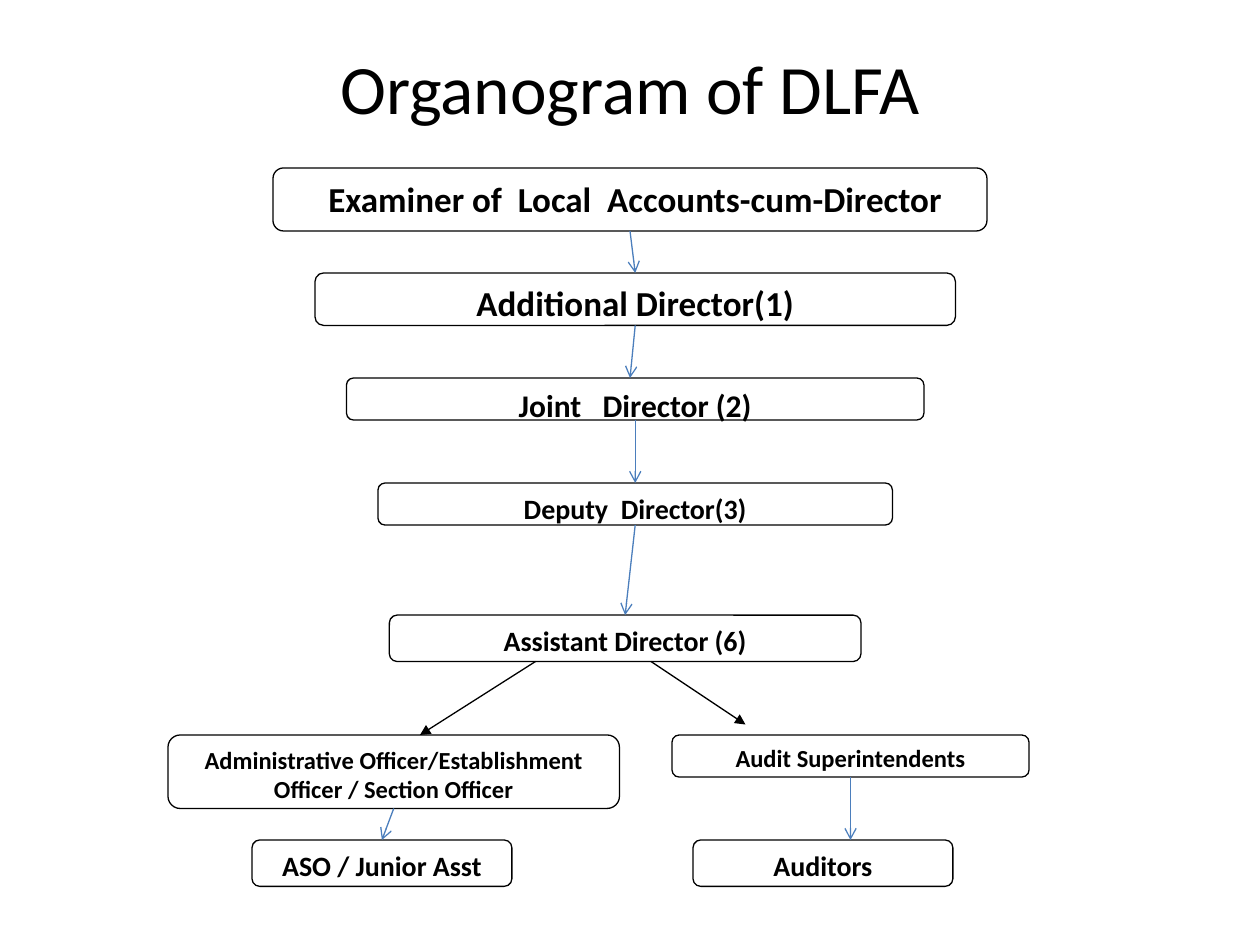
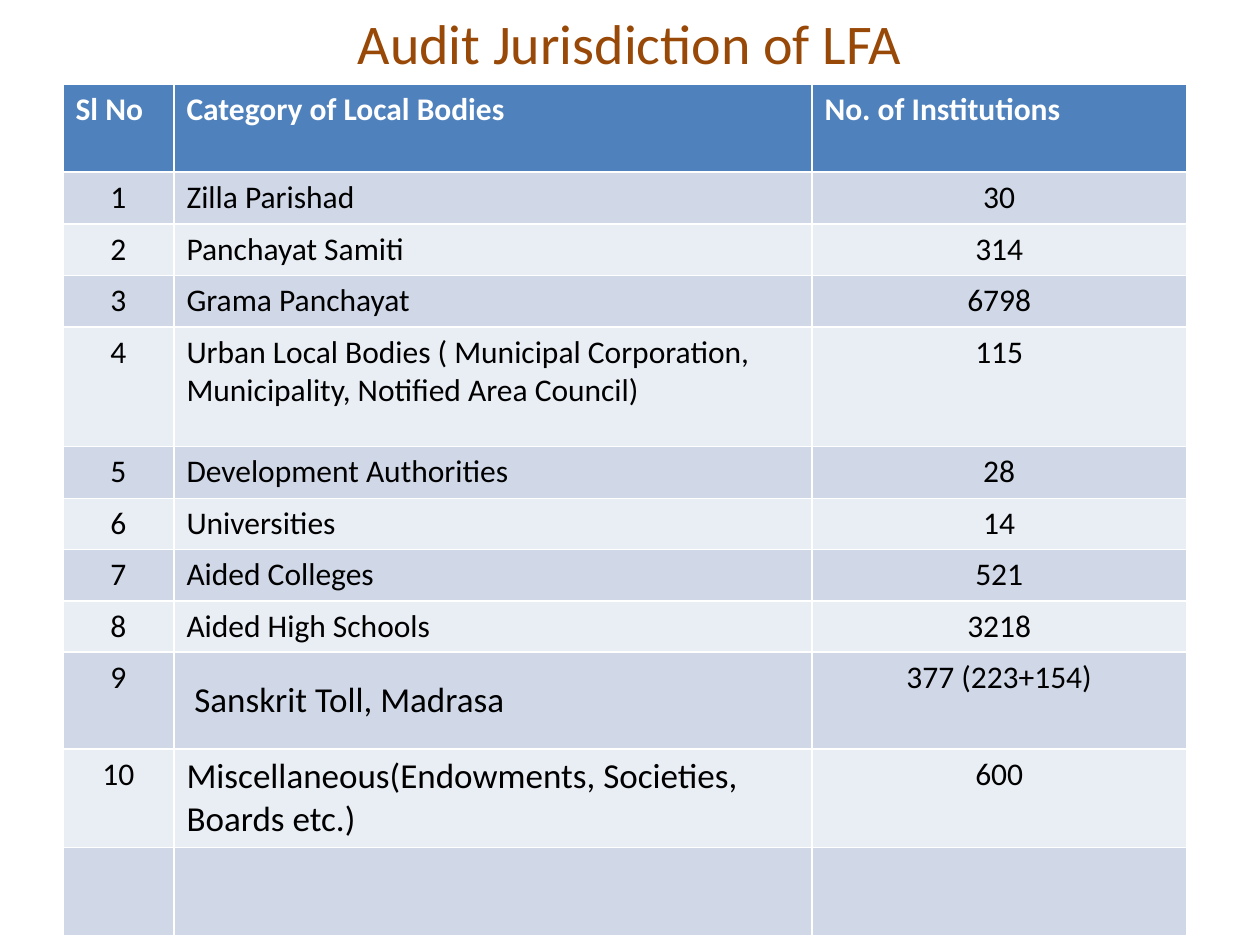
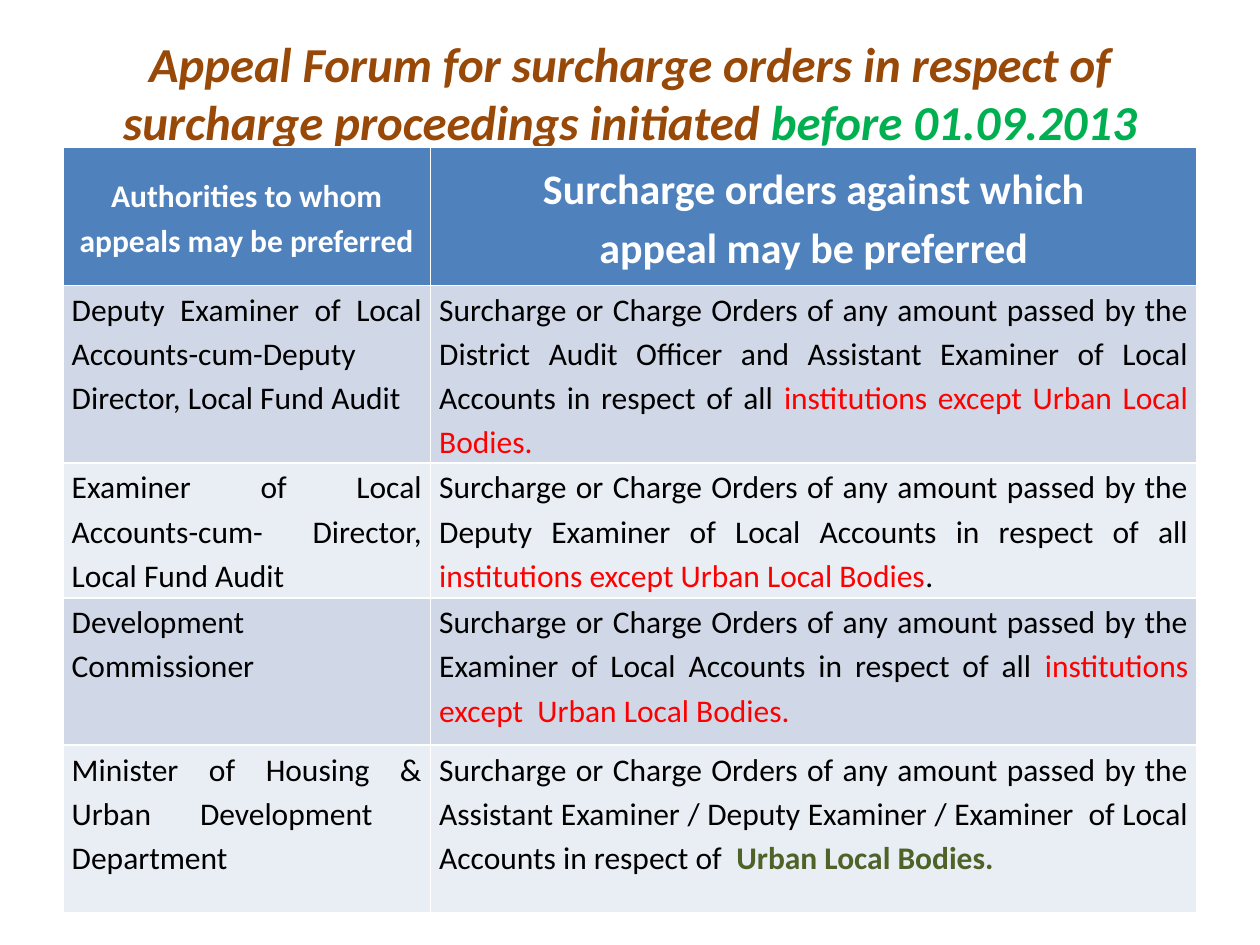
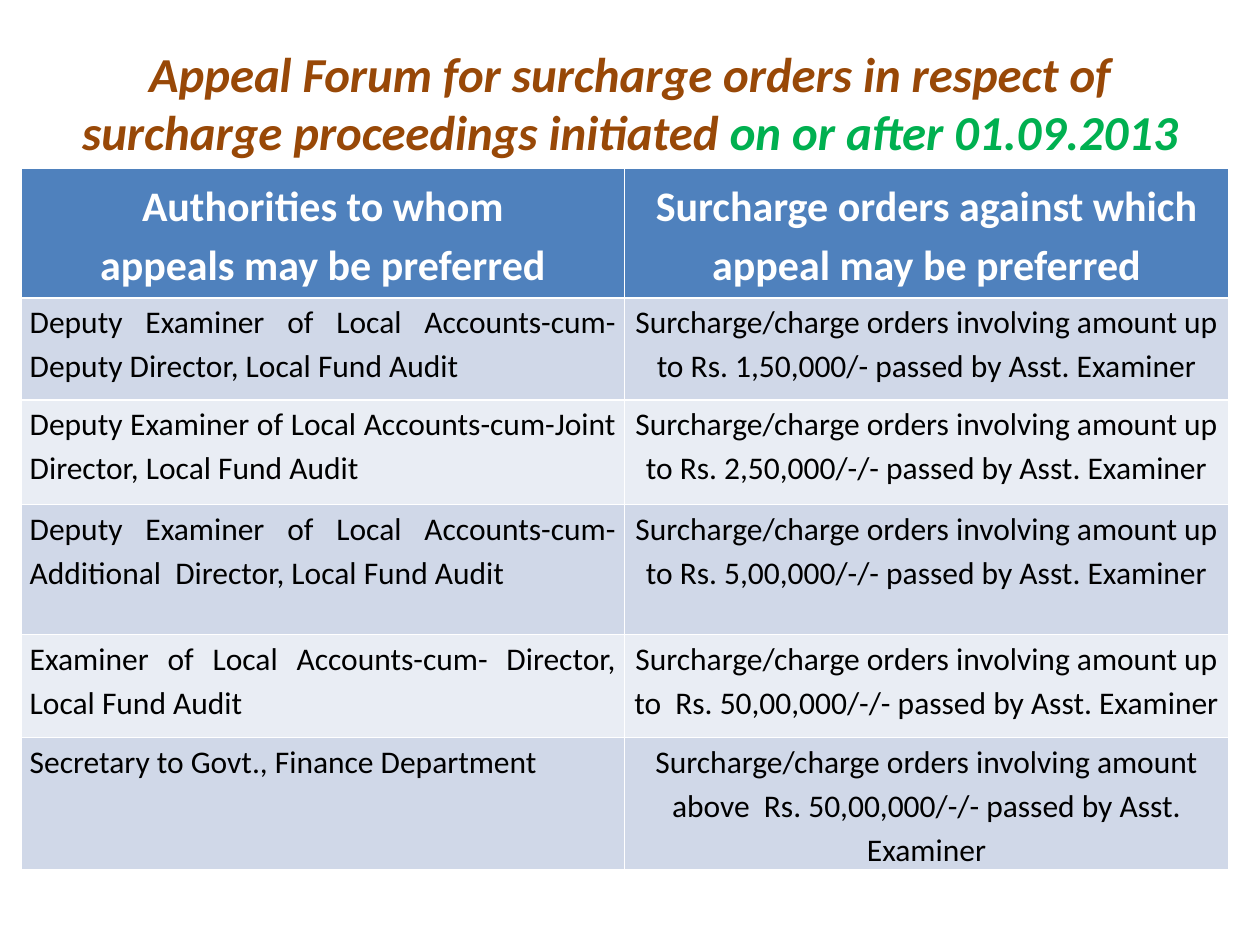
import pptx
import pptx.dml.color
import pptx.enum.shapes
import pptx.enum.text
import pptx.oxml
import pptx.oxml.ns
import pptx.util

Pt = pptx.util.Pt
RGBColor = pptx.dml.color.RGBColor
Align = pptx.enum.text.PP_ALIGN
Anchor = pptx.enum.text.MSO_ANCHOR

FONT = "Calibri"
BLACK = RGBColor(0x00, 0x00, 0x00)
WHITE = RGBColor(0xFF, 0xFF, 0xFF)
BROWN = RGBColor(0x98, 0x48, 0x07)
GREEN = RGBColor(0x00, 0xB0, 0x50)
OLIVE = RGBColor(0x4F, 0x62, 0x28)
RED = RGBColor(0xFF, 0x00, 0x00)
ARROW_BLUE = RGBColor(0x4B, 0x7E, 0xBC)
HEADER_BLUE = RGBColor(0x4F, 0x81, 0xBD)
BANDS = (RGBColor(0xE9, 0xED, 0xF4), RGBColor(0xD0, 0xD8, 0xE8))

POSTS = {
    "examiner": ("Examiner of  Local  Accounts-cum-Director", 20, (60, 0, 408, 36)),
    "additional": ("Additional Director(1)", 20, (84, 60, 366, 30)),
    "joint": ("Joint   Director (2)", 18, (102, 120, 330, 24)),
    "deputy": ("Deputy  Director(3)", 16, (120, 180, 294, 24)),
    "assistant": ("Assistant Director (6)", 16, (126.5, 255.5, 269.5, 26.5)),
    "administrative": (
        "Administrative Officer/Establishment Officer / Section Officer",
        14, (0, 324, 258, 42)),
    "superintendents": ("Audit Superintendents", 14, (288, 324, 204, 24)),
    "junior": ("ASO / Junior Asst", 16, (48, 384, 148.5, 26.5)),
    "auditors": ("Auditors", 16, (300, 384, 148.5, 26.5)),
}
REPORTING = [
    ("examiner", "additional", 0),
    ("additional", "joint", -3),
    ("joint", "deputy", 0),
    ("deputy", "assistant", 0),
    ("administrative", "junior", 0),
    ("superintendents", "auditors", 15.75),
]
BRANCHES = [((210, 282), (144, 324)), ((276, 282), (330, 318))]

LOCAL_BODIES = [
    ("Zilla Parishad", "30"),
    ("Panchayat Samiti", "314"),
    ("Grama Panchayat", "6798"),
    ("Urban Local Bodies ( Municipal Corporation, Municipality, "
     "Notified Area Council)", "115"),
    ("Development Authorities", "28"),
    ("Universities", "14"),
    ("Aided Colleges", "521"),
    ("Aided High Schools", "3218"),
    ("Sanskrit Toll, Madrasa", "377 (223+154)"),
    ("Miscellaneous(Endowments, Societies, Boards etc.)", "600"),
    ("", ""),
]

ANY_AMOUNT = "Surcharge or Charge Orders of any amount passed by the "
EXCEPT_URBAN = "institutions except Urban Local Bodies"
DEPUTY = "Deputy Examiner of Local Accounts-cum-"
DIRECTOR = "Examiner of Local Accounts-cum- Director, Local Fund Audit"
ORDERS_HEADER = ["Surcharge orders against which", "appeal may be preferred"]

APPEALS_BEFORE = [
    (DEPUTY + "Deputy Director, Local Fund Audit",
     [(ANY_AMOUNT + "District Audit Officer and Assistant Examiner of Local "
       "Accounts in respect of all ", BLACK), (EXCEPT_URBAN + ".", RED)]),
    (DIRECTOR,
     [(ANY_AMOUNT + "Deputy Examiner of Local Accounts in respect of all ", BLACK),
      (EXCEPT_URBAN, RED), (".", BLACK)]),
    ("Development Commissioner",
     [(ANY_AMOUNT + "Examiner of Local Accounts in respect of all ", BLACK),
      ("institutions except  Urban Local Bodies.", RED)]),
    ("Minister of Housing & Urban Development  Department",
     [(ANY_AMOUNT + "Assistant Examiner / Deputy Examiner / Examiner  of Local "
       "Accounts in respect of  ", BLACK), ("Urban Local Bodies.", OLIVE)]),
]
APPEALS_AFTER = [
    (DEPUTY + "Deputy Director, Local Fund Audit", "up to Rs. 1,50,000/-"),
    (DEPUTY + "Joint Director, Local Fund Audit", "up to Rs. 2,50,000/-/-"),
    (DEPUTY + "Additional  Director, Local Fund Audit", "up to Rs. 5,00,000/-/-"),
    (DIRECTOR, "up to  Rs. 50,00,000/-/-"),
    ("Secretary to Govt., Finance Department", "above  Rs. 50,00,000/-/-"),
]


def style_paragraph(para, size, align, color=None, bold=False, italic=False):
    """Set the alignment and the font shared by all runs of a paragraph."""
    para.alignment = align
    para.font.name = FONT
    para.font.size = Pt(size)
    para.font.bold = bold
    para.font.italic = italic
    if color is not None:
        para.font.color.rgb = color


def add_spans(para, spans):
    """Add text and colour pairs to a paragraph as runs."""
    for text, color in spans:
        span = para.add_run()
        span.text = text
        span.font.color.rgb = color
        if color == OLIVE:
            span.font.bold = True


def add_page(deck, box, spans, size, emphasis=False, bottom_inset=None):
    """Add a title-only page and write its title in the given box."""
    page = deck.slides.add_slide(deck.slide_layouts[5])
    title = page.shapes.title
    title.left, title.top, title.width, title.height = map(Pt, box)
    frame = title.text_frame
    frame.word_wrap = True
    frame.auto_size = pptx.enum.text.MSO_AUTO_SIZE.NONE
    frame.vertical_anchor = Anchor.MIDDLE
    if bottom_inset is not None:
        frame.vertical_anchor = Anchor.BOTTOM
        frame.margin_top = 0
        frame.margin_bottom = Pt(bottom_inset)
    para = frame.paragraphs[0]
    style_paragraph(para, size, Align.CENTER, bold=emphasis, italic=emphasis)
    add_spans(para, spans)
    return page


def add_arrow(page, start, end, color, head):
    """Draw a thin arrow from start to end."""
    arrow = page.shapes.add_connector(
        pptx.enum.shapes.MSO_CONNECTOR.STRAIGHT, *map(Pt, start + end))
    arrow.line.color.rgb = color
    arrow.line.width = Pt(0.75)
    tail = pptx.oxml.ns.qn("a:tailEnd")
    line = arrow.line._get_or_add_ln()
    line.append(line.makeelement(tail, {"type": head}))
    properties = arrow._element.spPr
    properties.append(properties.makeelement(pptx.oxml.ns.qn("a:effectLst"), {}))


def add_post(page, box, text, size):
    """Draw one post of the organogram as a rounded box."""
    post = page.shapes.add_shape(
        pptx.enum.shapes.MSO_SHAPE.ROUNDED_RECTANGLE, *map(Pt, box))
    post.shadow.inherit = False
    post.fill.solid()
    post.fill.fore_color.rgb = WHITE
    post.line.color.rgb = BLACK
    post.line.width = Pt(0.75)
    frame = post.text_frame
    frame.word_wrap = True
    frame.vertical_anchor = Anchor.TOP
    para = frame.paragraphs[0]
    para.text = text
    style_paragraph(para, size, Align.CENTER, BLACK, bold=True)
    return post


def add_organogram(page, left, top):
    """Draw the posts and their reporting arrows from a top left corner."""
    for name, (text, size, (x, y, width, height)) in POSTS.items():
        post = add_post(page, (left + x, top + y, width, height), text, size)
        if name == "examiner":
            post.text_frame.margin_left = Pt(13)
    for start, end in BRANCHES:
        add_arrow(page, (left + start[0], top + start[1]),
                  (left + end[0], top + end[1]), BLACK, "triangle")
    for senior, junior, shift in REPORTING:
        x, y, width, height = POSTS[senior][2]
        start = (left + x + width / 2, top + y + height)
        x, y, width, height = POSTS[junior][2]
        end = (left + x + width / 2 + shift, top + y)
        add_arrow(page, start, end, ARROW_BLUE, "arrow")


def add_grid(page, left, top, widths, heights):
    """Add a table with a blue header and banded rows."""
    grid = page.shapes.add_table(
        len(heights), len(widths), Pt(left), Pt(top),
        Pt(sum(widths)), Pt(sum(heights))).table
    for column, width in zip(grid.columns, widths):
        column.width = Pt(width)
    for index, height in enumerate(heights):
        grid.rows[index].height = Pt(height)
        for cell in grid.rows[index].cells:
            cell.fill.solid()
            cell.fill.fore_color.rgb = BANDS[index % 2] if index else HEADER_BLUE
    return grid


def fill_cell(cell, lines, size, align, color=BLACK, bold=False, spacing=None):
    """Write lines, each a text or a list of spans, into a cell."""
    frame = cell.text_frame
    for index, line in enumerate(lines):
        para = frame.add_paragraph() if index else frame.paragraphs[0]
        if isinstance(line, str):
            para.text = line
            style_paragraph(para, size, align, color, bold)
        else:
            style_paragraph(para, size, align, bold=bold)
            add_spans(para, line)
        if spacing:
            para.line_spacing = spacing


def add_jurisdiction(page, left, top):
    """Draw the numbered table of audited institutions."""
    heights = [50.4, 29.5, 29.5, 29.5, 68.4, 29.5, 27.4, 29.5, 27.4, 55.4, 52.6, 50.4]
    grid = add_grid(page, left, top, [63.4, 364.6, 214], heights)
    headers = ("Sl No", "Category of Local Bodies", "No. of Institutions")
    for column, text in enumerate(headers):
        fill_cell(grid.cell(0, column), [text], 18, Align.LEFT, WHITE, True)
    for row, (category, count) in enumerate(LOCAL_BODIES, 1):
        number = str(row) if category else ""
        large = row in (9, 10)
        fill_cell(grid.cell(row, 0), [number], 18, Align.CENTER)
        fill_cell(grid.cell(row, 1), [category], 20 if large else 18, Align.LEFT)
        fill_cell(grid.cell(row, 2), [count], 18, Align.CENTER)
        if large:
            grid.cell(row, 1).vertical_anchor = Anchor.MIDDLE
    grid.cell(9, 1).margin_left = Pt(11.7)


def add_appeals(page, left, top, widths, heights, header, header_size, rows, align):
    """Draw a table of appeal authorities and the orders they hear."""
    grid = add_grid(page, left, top, widths, heights)
    for cell in grid.iter_cells():
        cell.margin_left = cell.margin_right = Pt(5)
        cell.margin_top = cell.margin_bottom = 0
    headers = ((header, header_size), (ORDERS_HEADER, 24))
    for column, (lines, size) in enumerate(headers):
        cell = grid.cell(0, column)
        cell.vertical_anchor = Anchor.MIDDLE
        fill_cell(cell, lines, size, Align.CENTER, WHITE, True, 1.15)
    for row, (authority, orders) in enumerate(rows, 1):
        fill_cell(grid.cell(row, 0), [authority], 18, Align.JUSTIFY, spacing=1.15)
        fill_cell(grid.cell(row, 1), [orders], 18, align, spacing=1.15)


def appeal_title(period):
    """Return the spans of an appeal forum title."""
    return [("Appeal Forum for surcharge orders in respect of surcharge "
             "proceedings initiated ", BROWN), (period, GREEN)]


def build():
    """Build and save the deck."""
    deck = pptx.Presentation()
    deck.slide_width, deck.slide_height = Pt(720), Pt(540)

    page = add_page(deck, (36, 21.6, 648, 56.2), [("Organogram of DLFA", BLACK)], 39.6)
    add_organogram(page, 96, 96)

    page = add_page(deck, (36, 0, 648, 48), [("Audit Jurisdiction of LFA", BROWN)], 32)
    add_jurisdiction(page, 36, 48)

    page = add_page(deck, (36, 21.6, 648, 74.2), appeal_title("before 01.09.2013"),
                    27.9, True, 9.8)
    add_appeals(page, 36, 84, [210, 438], [79.2, 101.5, 77, 84.2, 95.8],
                ["Authorities to whom appeals may be preferred"], 18,
                APPEALS_BEFORE, Align.JUSTIFY)

    page = add_page(deck, (36, 21.6, 648, 90), appeal_title("on or after 01.09.2013"),
                    27.9, True, 19.8)
    rows = [(authority, "Surcharge/charge orders involving amount "
             + limit + " passed by Asst. Examiner")
            for authority, limit in APPEALS_AFTER]
    add_appeals(page, 12, 96, [345, 345], [74.2, 58.3, 59.8, 74.2, 59, 74.2],
                ["Authorities to whom", "appeals may be preferred"], 24,
                rows, Align.CENTER)

    deck.save("out.pptx")


build()
